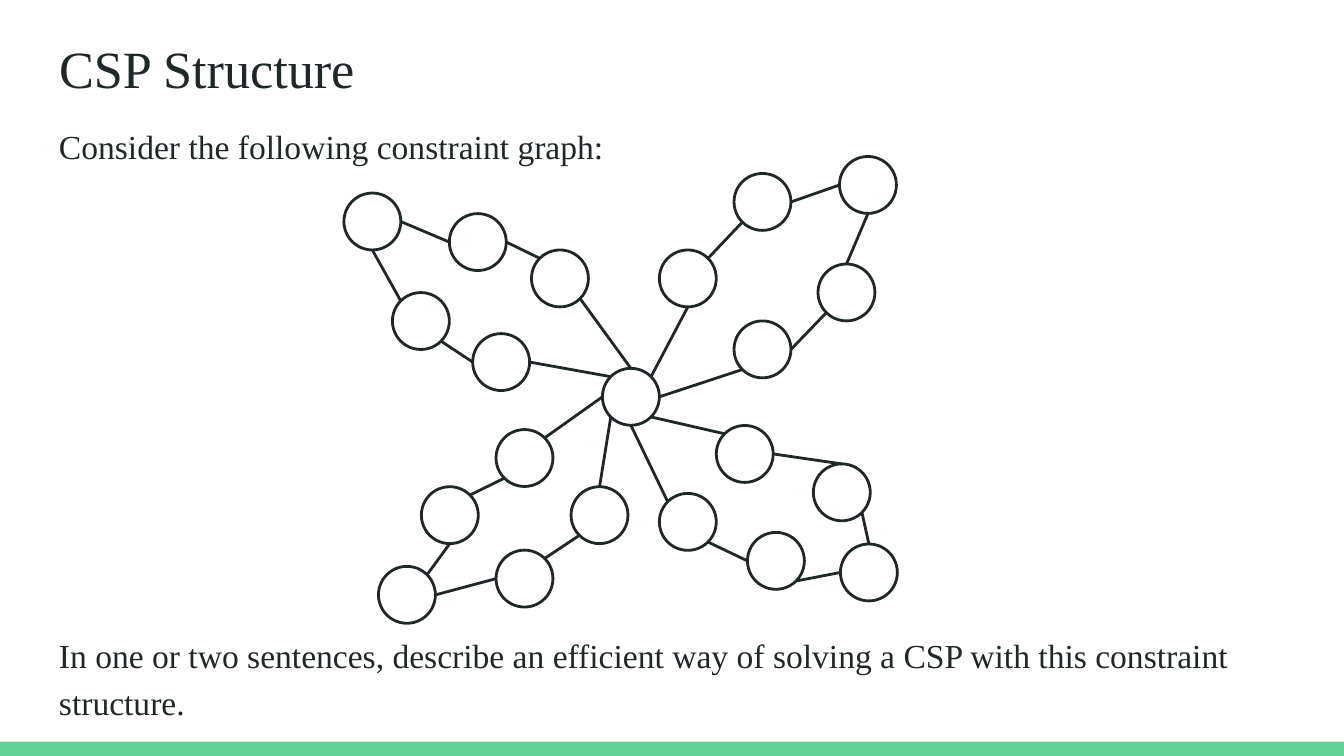
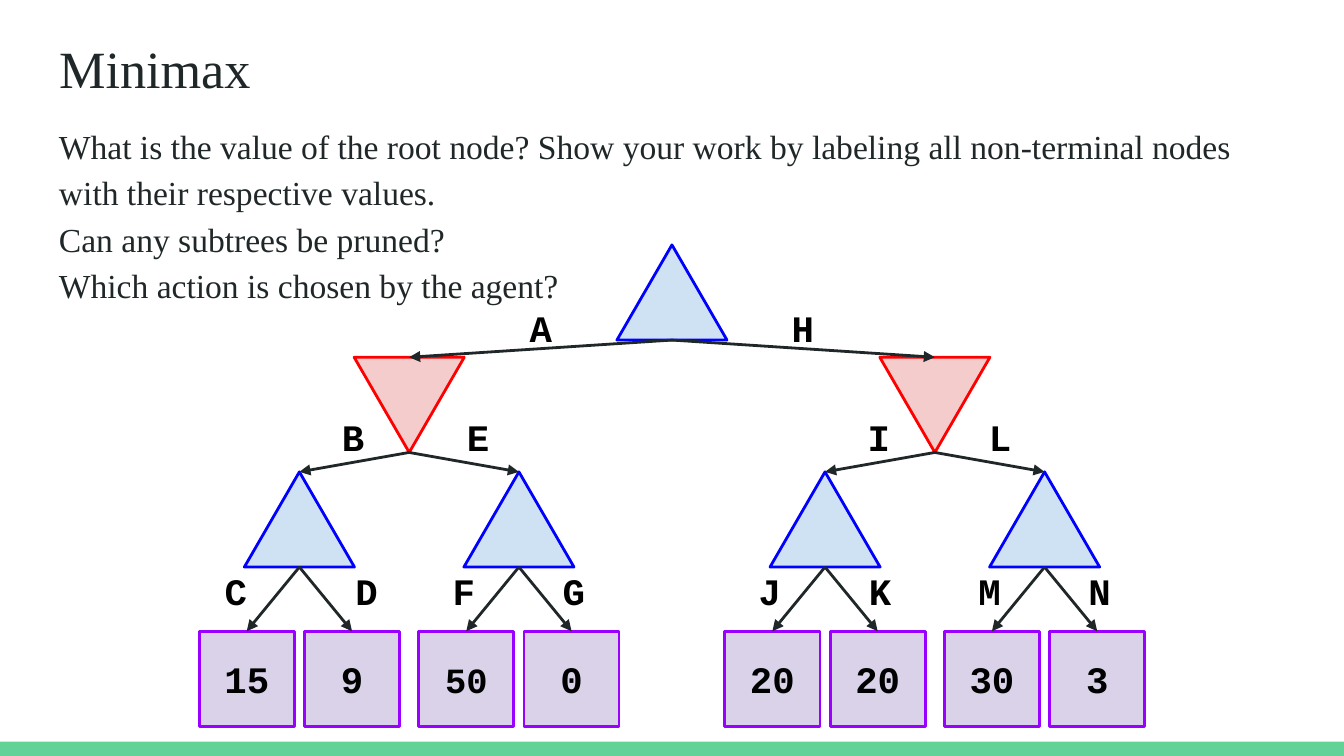
from dataclasses import dataclass
from math import cos, radians, sin

from lxml.etree import SubElement
from pptx import Presentation
from pptx.dml.color import RGBColor
from pptx.enum.shapes import MSO_CONNECTOR, MSO_SHAPE as Shape
from pptx.enum.text import MSO_ANCHOR as Anchor, PP_ALIGN as Align
from pptx.oxml.ns import qn
from pptx.util import Pt


@dataclass(frozen=True)
class Theme:
    ink: str = "202729"
    black: str = "000000"
    band: str = "63D297"
    max_node: tuple = ("CFE2F3", "0000FF")  # fill, outline
    min_node: tuple = ("F4CCCC", "FF0000")
    leaf: tuple = ("D9D2E9", "9900FF")
    serif: str = "Times New Roman"
    mono: str = "Courier New"
    title_size: float = 28
    body_size: float = 18
    node_size: float = 20
    stroke: float = 1.5
    inset: float = 7.2


THEME = Theme()
WIDTH, HEIGHT = 720, 405
MARGIN, TEXT_WIDTH = 24.5, 671


def write(frame, text, *, font=THEME.serif, size=THEME.body_size, color=THEME.ink,
          bold=False, align=Align.LEFT, anchor=Anchor.TOP, spacing=1.0, gap=0):
    """Fill a text frame, one paragraph per line, with gap points between them."""
    frame.word_wrap = True
    frame.vertical_anchor = anchor
    frame.margin_left = frame.margin_right = Pt(THEME.inset)
    frame.margin_top = frame.margin_bottom = Pt(THEME.inset)
    for index, line in enumerate(text.split("\n")):
        paragraph = frame.add_paragraph() if index else frame.paragraphs[0]
        paragraph.alignment = align
        paragraph.line_spacing = spacing
        paragraph.space_before = Pt(gap if index else 0)
        run = paragraph.add_run()
        run.text = line
        run.font.name, run.font.size, run.font.bold = font, Pt(size), bold
        run.font.color.rgb = RGBColor.from_string(color)


class Deck:
    """Holds the presentation and the slide being drawn."""

    def __init__(self):
        self.prs = Presentation()
        self.prs.slide_width, self.prs.slide_height = Pt(WIDTH), Pt(HEIGHT)
        self.slide = None

    def new_slide(self, title):
        self.slide = self.prs.slides.add_slide(self.prs.slide_layouts[5])
        heading = self.slide.shapes.title
        heading.left, heading.top = Pt(MARGIN), Pt(12.2)
        heading.width, heading.height = Pt(TEXT_WIDTH), Pt(45)
        write(heading.text_frame, title, size=THEME.title_size)

    def master_band(self):
        """Move a footer band from the current slide to the shared master."""
        band = self.shape(Shape.RECTANGLE, 0, 397.4, WIDTH, 7.6, fill=THEME.band)
        band.element.nvSpPr.cNvPr.id = 20
        self.prs.slide_master.shapes.element.append(band.element)

    def shape(self, kind, left, top, width, height, fill=None, line=None):
        shape = self.slide.shapes.add_shape(kind, Pt(left), Pt(top), Pt(width), Pt(height))
        shape.shadow.inherit = False
        if fill:
            shape.fill.solid()
            shape.fill.fore_color.rgb = RGBColor.from_string(fill)
        else:
            shape.fill.background()
        if line:
            shape.line.color.rgb = RGBColor.from_string(line)
            shape.line.width = Pt(THEME.stroke)
        else:
            shape.line.fill.background()
        return shape

    def text(self, text, left, top, width, height, **style):
        box = self.slide.shapes.add_textbox(Pt(left), Pt(top), Pt(width), Pt(height))
        write(box.text_frame, text, **style)

    def body(self, text, height, gap=0):
        self.text(text, MARGIN, 57, TEXT_WIDTH, height, spacing=1.15, gap=gap)

    def link(self, start, end, arrow=False):
        link = self.slide.shapes.add_connector(
            MSO_CONNECTOR.STRAIGHT, *(Pt(value) for value in (*start, *end)))
        link.line.color.rgb = RGBColor.from_string(THEME.ink)
        link.line.width = Pt(THEME.stroke)
        properties = link.element.spPr
        if arrow:
            SubElement(properties.find(qn("a:ln")), qn("a:tailEnd"), type="triangle")
        SubElement(properties, qn("a:effectLst"))


# Constraint graph: four cycles that share one hub
RADIUS = 15.25
HUB = (338, 212.6)
COMPASS = {name: radians(45 * step)
           for step, name in enumerate(("E", "SE", "S", "SW", "W", "NW", "N", "NE"))}

# Node centres outward and back, then the sides that each edge leaves and enters
WINGS = [
    ([(300, 149.2), (256, 129.7), (199.5, 118.7), (225.5, 172), (268.5, 194)],
     "N-SE NW-E W-E S-NW SE-W E-NW"),
    ([(368.5, 149.2), (408.5, 108.2), (465, 99.1), (453.5, 156.7), (408.5, 187.2)],
     "NE-S NE-SW E-W S-N SW-E SW-E"),
    ([(399, 243.2), (451, 263.8), (465.5, 306.7), (415.7, 300.5), (368.5, 279.6)],
     "SE-NW E-N SE-N W-SE W-SE NW-S"),
    ([(321.2, 276), (281, 310), (218, 318.7), (241, 276), (281, 245.4)],
     "SW-N SW-NE W-E NE-S NE-SW NE-W"),
]


def rim(center, side):
    angle = COMPASS[side]
    return center[0] + RADIUS * cos(angle), center[1] + RADIUS * sin(angle)


def csp_slide(deck):
    deck.body("Consider the following constraint graph:\n"
              "In one or two sentences, describe an efficient way of solving a CSP "
              "with this constraint structure.", 340.5, gap=248)
    variables = [HUB] + [node for nodes, _ in WINGS for node in nodes]
    for x, y in variables:
        deck.shape(Shape.OVAL, x - RADIUS, y - RADIUS, 2 * RADIUS, 2 * RADIUS,
                   line=THEME.ink)
    for nodes, sides in WINGS:
        cycle = [HUB, *nodes, HUB]
        for start, end, pair in zip(cycle, cycle[1:], sides.split()):
            leave, enter = pair.split("-")
            deck.link(rim(start, leave), rim(end, enter))


# Game tree: one entry per level
NODE_WIDTH, NODE_HEIGHT = 59, 51
LEVEL_TOPS = (131.2, 191.4, 252.8, 338.2)
CHILD_SPREAD = (140.8, 58.8, 28.2)
LABEL_TOPS = (156.2, 214.6, 297.4)
LABEL_SPREAD = (70.2, 30, 29.5)
LABEL_SHIFT = {"C": 34, "D": 36, "E": 37, "L": 35}  # labels set further out
LABEL_WIDTH, LABEL_HEIGHT = 33.8, 31.7
LEAVES = ("15", "9", "50", "0", "20", "20", "30", "3")
NODE_TEXT = dict(font=THEME.mono, color=THEME.black, bold=True, align=Align.CENTER)


class GameTree:
    def __init__(self, deck):
        self.deck = deck
        self.actions = iter("ABCDEFGHIJKLMN")
        self.values = iter(LEAVES)

    def leaf(self, x, top):
        value = next(self.values)
        box = self.deck.shape(Shape.RECTANGLE, x - NODE_HEIGHT / 2, top,
                              NODE_HEIGHT, NODE_HEIGHT, *THEME.leaf)
        size = THEME.node_size - (value == "50")
        write(box.text_frame, value, size=size, anchor=Anchor.MIDDLE, **NODE_TEXT)

    def grow(self, x, level=0):
        """Draw a node and, in depth-first order, everything below it."""
        top = LEVEL_TOPS[level]
        if level == len(CHILD_SPREAD):
            self.leaf(x, top)
            return
        minimizer = level == 1
        triangle = self.deck.shape(Shape.ISOSCELES_TRIANGLE, x - NODE_WIDTH / 2, top,
                                   NODE_WIDTH, NODE_HEIGHT,
                                   *(THEME.min_node if minimizer else THEME.max_node))
        triangle.rotation = 180 if minimizer else 0
        for side in (-1, 1):
            action = next(self.actions)
            child = x + side * CHILD_SPREAD[level]
            self.grow(child, level + 1)
            self.deck.link((x, top + NODE_HEIGHT), (child, LEVEL_TOPS[level + 1]),
                           arrow=True)
            center = x + side * LABEL_SHIFT.get(action, LABEL_SPREAD[level])
            self.deck.text(action, center - LABEL_WIDTH / 2, LABEL_TOPS[level],
                           LABEL_WIDTH, LABEL_HEIGHT, size=THEME.node_size, **NODE_TEXT)


def minimax_slide(deck):
    deck.body("What is the value of the root node? Show your work by labeling all "
              "non-terminal nodes with their respective values.\n"
              "Can any subtrees be pruned?\n"
              "Which action is chosen by the agent?", 111)
    GameTree(deck).grow(WIDTH / 2)


def main():
    deck = Deck()
    deck.new_slide("CSP Structure")
    deck.master_band()
    csp_slide(deck)
    deck.new_slide("Minimax")
    minimax_slide(deck)
    deck.prs.save("out.pptx")


if __name__ == "__main__":
    main()
